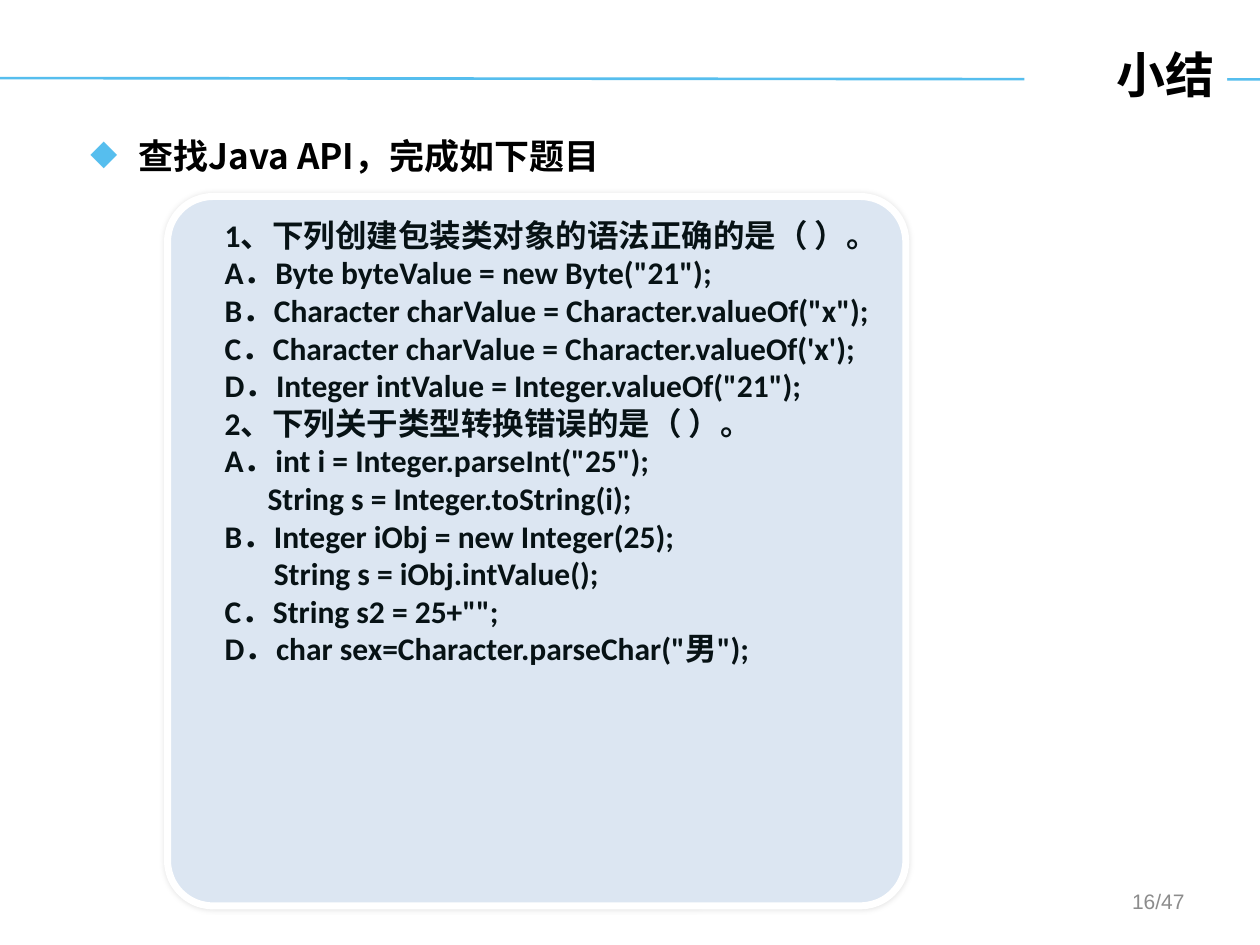
from lxml import etree
from pptx import Presentation
from pptx import util as u
from pptx.dml.color import RGBColor
from pptx.enum import shapes, text
from pptx.oxml.ns import qn

SKY = RGBColor(0x56, 0xBE, 0xEE)
PALE = RGBColor(0xDC, 0xE6, 0xF2)
INK = RGBColor(0x07, 0x12, 0x15)
GREY = RGBColor(0x8C, 0x8C, 0x8C)
BLACK = RGBColor(0, 0, 0)
WHITE = RGBColor(255, 255, 255)
CJK = "Noto Sans CJK SC"

# Each line: text, left margin, first-line indent (inches)
HANG = (0.5, -0.25)
QUIZ = [
    ("1、下列创建包装类对象的语法正确的是（ ）。", *HANG),
    ('A．Byte byteValue = new Byte("21");', *HANG),
    ('B．Character charValue = Character.valueOf("x");', *HANG),
    ("C．Character charValue = Character.valueOf('x');", *HANG),
    ('D．Integer intValue = Integer.valueOf("21");', *HANG),
    ("2、下列关于类型转换错误的是（ ）。", *HANG),
    ('A．int i = Integer.parseInt("25");', *HANG),
    ("String s = Integer.toString(i);", 0.59, 0),
    ("B．Integer iObj = new Integer(25);", *HANG),
    ("String s = iObj.intValue();", 0.64, 0),
    ('C．String s2 = 25+"";', *HANG),
    ('D．char sex=Character.parseChar("男");', *HANG),
]


class Deck:
    def __init__(self, prs):
        self.s = prs.slides.add_slide(prs.slide_layouts[5])

    def box(self, at):
        return tuple(u.Inches(v) for v in at)

    def run(self, p, words, size, font, color, bold=True):
        r = p.add_run()
        r.text = words
        r.font.size, r.font.name, r.font.bold = u.Pt(size), font, bold
        r.font.color.rgb = color
        latin = r.font._element.find(qn("a:latin"))
        ea = etree.Element(qn("a:ea"), typeface=CJK)
        latin.addnext(ea)

    def indent(self, p, left, first):
        pPr = p._p.get_or_add_pPr()
        pPr.set("marL", str(u.Inches(left)))
        pPr.set("indent", str(u.Inches(first)))
        return pPr

    def rule(self, x1, y1, x2, y2):
        line = self.s.shapes.add_connector(
            shapes.MSO_CONNECTOR.STRAIGHT, *self.box((x1, y1, x2, y2)))
        line.line.color.rgb = SKY
        line.line.width = u.Pt(1.5)
        etree.SubElement(line.element.spPr, qn("a:effectLst"))

    def title(self, words, at):
        sp = self.s.shapes.title
        sp.left, sp.top, sp.width, sp.height = self.box(at)
        sp.fill.solid()
        sp.fill.fore_color.rgb = WHITE
        tf = sp.text_frame
        tf.vertical_anchor = text.MSO_ANCHOR.MIDDLE
        p = tf.paragraphs[0]
        p.alignment = text.PP_ALIGN.RIGHT
        self.run(p, words, 28, CJK, BLACK)
        # Bring the title in front of the rule
        self.s.shapes.element.append(sp.element)

    def textbox(self, at):
        tf = self.s.shapes.add_textbox(*self.box(at)).text_frame
        tf.word_wrap = True
        return tf

    def bullet(self, words, at):
        p = self.textbox(at).paragraphs[0]
        pPr = self.indent(p, 0.38, -0.38)
        clr = etree.SubElement(pPr, qn("a:buClr"))
        etree.SubElement(clr, qn("a:srgbClr"), val=str(SKY))
        etree.SubElement(pPr, qn("a:buChar"), char="◆")
        self.run(p, words, 20, CJK, BLACK)

    def panel(self, lines, at):
        sp = self.s.shapes.add_shape(
            shapes.MSO_SHAPE.ROUNDED_RECTANGLE, *self.box(at))
        sp.adjustments[0] = 0.064
        sp.fill.solid()
        sp.fill.fore_color.rgb = PALE
        sp.line.color.rgb = WHITE
        sp.line.width = u.Pt(4)
        # Soft shadow around the edge
        sp.shadow.inherit = False
        effects = sp.element.spPr.find(qn("a:effectLst"))
        shadow = etree.SubElement(effects, qn("a:outerShdw"),
                                  blurRad=str(u.Pt(3)), dist="0", dir="0")
        clr = etree.SubElement(shadow, qn("a:srgbClr"), val=str(BLACK))
        etree.SubElement(clr, qn("a:alpha"), val="10000")
        tf = sp.text_frame
        tf.word_wrap = True
        tf.vertical_anchor = text.MSO_ANCHOR.TOP
        for i, (words, left, first) in enumerate(lines):
            p = tf.add_paragraph() if i else tf.paragraphs[0]
            p.alignment = text.PP_ALIGN.LEFT
            p.line_spacing = u.Pt(21.5)
            self.indent(p, left, first)
            self.run(p, words, 18, "Calibri", INK)

    def page_number(self, words, at):
        tf = self.textbox(at)
        tf.vertical_anchor = text.MSO_ANCHOR.MIDDLE
        p = tf.paragraphs[0]
        p.alignment = text.PP_ALIGN.RIGHT
        self.run(p, words, 12, "Arial", GREY, bold=False)


def main():
    prs = Presentation()
    prs.slide_width, prs.slide_height = u.Inches(10), u.Inches(7.5)
    deck = Deck(prs)

    # Heading
    deck.rule(0, 0.62, 10, 0.63)
    deck.title("小结", (8.13, 0.21, 1.61, 0.75))

    # Task and questions
    deck.bullet("查找Java API，完成如下题目", (0.62, 1.02, 8.83, 0.5))
    deck.panel(QUIZ, (1.33, 1.56, 5.86, 5.63))

    # Footer
    deck.page_number("16/47", (7.17, 6.95, 2.33, 0.4))
    prs.save("out.pptx")


if __name__ == "__main__":
    main()
